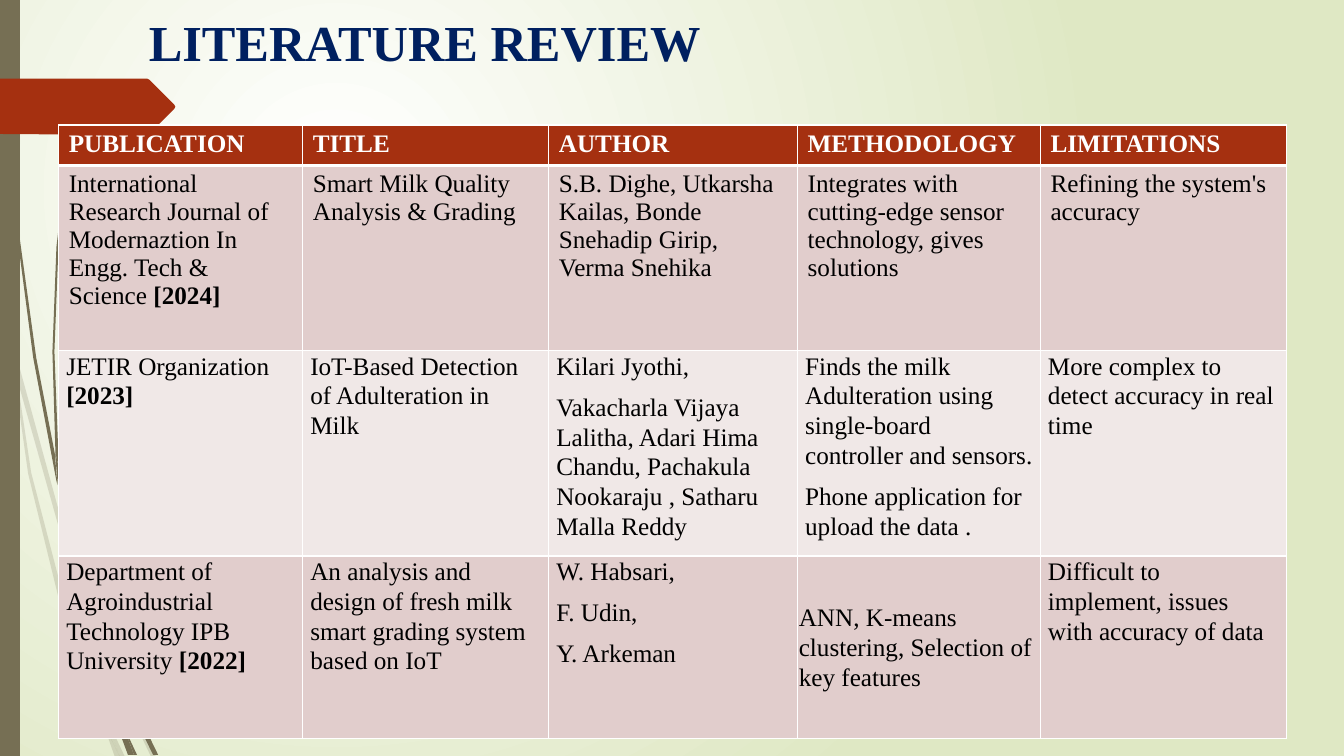
"""Build the literature review slide with its wisp decoration and paper table."""
from lxml.etree import SubElement
from pptx import Presentation
from pptx.dml.color import RGBColor
from pptx.enum.text import MSO_ANCHOR
from pptx.oxml.ns import qn
from pptx.util import Cm, Pt

FONT = "Times New Roman"
COLORS = {
    "white": "FFFFFF", "black": "000000", "navy": "002060", "rust": "A53010",
    "olive": "766F54", "pale_green": "DFE8C4", "rose": "E1CDCC", "light_rose": "F0E8E7",
}
PALE_WISPS = [
    "11,350 9,322 0,282 0,299 10,344",
    "58,522 84,599 85,586 62,520 14,345 17,376",
    "92,607 88,596 88,610 123,694 150,751 155,751 127,692",
    "119,751 124,751 105,711",
    "93,683 70,619 31,469 17,376 11,350 28,470 65,621 92,693 101,714 99,707",
    "84,599 87,646 93,683 96,692 105,711 103,706 91,646 88,610 88,608",
    "88,584 110,462 160,349 229,245 268,198 290,175 312,154 312,153 "
    "289,175 268,197 228,244 158,348 107,461 85,584 85,586 88,596",
    "101,714 114,751 119,751",
    "88,608 88,610 88,596 85,586 84,599",
    "96,692 93,683 99,707 101,714 119,751 105,711",
]
DARK_WISPS = [
    "7,110 17,233 33,355 56,477 57,481 55,457 55,453 36,355 19,232 8,109 5,48 4,0 3,0 4,48",
    "88,592 106,645 106,633 106,631 93,590 60,472 64,505",
    "113,649 110,641 111,656 132,708 152,749 157,749 136,706",
    "110,691 98,657 72,556 64,505 57,477 68,557 93,659 111,708 117,722 116,717",
    "60,472 58,453 54,349 58,245 63,193 70,141 62,193 56,245 52,349 55,449",
    "133,749 136,749 122,719",
    "57,477 64,505 60,472 55,449 55,453",
    "111,633 125,552 158,476 205,406 231,374 245,359 261,344 260,344 "
    "245,358 231,373 204,405 156,474 122,551 106,631 110,641",
    "117,722 127,749 131,749",
    "106,645 110,691 116,706 122,719 121,716 111,656 109,651",
    "106,645 109,651 111,656 110,641 106,631 106,633",
    "116,706 110,691 116,717 117,722 130,749 133,749 122,719",
]
SIDE_BAR = "0,0 20,0 20,750 0,750"
ARROW_TAG = "0,78 146,78 148,79 173,104 174,106 173,108 148,133 146,134 0,133"
COLUMN_WIDTHS = [6.15, 6.2, 6.27, 6.12, 6.2]
ROW_HEIGHTS = [0.94, 4.67, 4.95, 4.6]
ROW_FILLS = ["rust", "rose", "light_rose", "rose"]
PAPERS = [
    ["PUBLICATION", "TITLE", "AUTHOR", "METHODOLOGY", "LIMITATIONS"],
    ["International Research Journal of Modernaztion In Engg. Tech & Science [2024]",
     "Smart Milk Quality Analysis & Grading",
     "S.B. Dighe, Utkarsha Kailas, Bonde Snehadip Girip, Verma Snehika",
     "Integrates with cutting-edge sensor technology, gives solutions",
     "Refining the system's accuracy"],
    ["JETIR Organization [2023]",
     "IoT-Based Detection of Adulteration in Milk",
     "Kilari Jyothi,\nVakacharla Vijaya Lalitha, Adari Hima Chandu, "
     "Pachakula Nookaraju , Satharu Malla Reddy",
     "Finds the milk Adulteration using single-board controller and sensors.\n"
     "Phone application for upload the data .",
     "More complex to detect accuracy in real time"],
    ["Department of Agroindustrial Technology IPB University [2022]",
     "An analysis and design of fresh milk smart grading system based on IoT",
     "W. Habsari,\nF. Udin,\nY. Arkeman",
     "ANN, K-means clustering, Selection of key features",
     "Difficult to implement, issues with accuracy of data"],
]


def rgb(name):
    """Return the named colour."""
    return RGBColor.from_string(COLORS[name])


def add_run(p, text, size, color, bold):
    """Append one formatted run to a paragraph."""
    r = p.add_run()
    r.text = text
    r.font.name = FONT
    r.font.size = Pt(size)
    r.font.bold = bold
    r.font.color.rgb = rgb(color)


def set_background(slide):
    """Fill the slide with a radial white to green gradient."""
    fill = slide.background.fill
    fill.gradient()
    for stop, name in zip(fill.gradient_stops, ("white", "pale_green")):
        stop.color.rgb = rgb(name)
    grad = slide.background._cSld.find(".//" + qn("a:gradFill"))
    lin = grad.find(qn("a:lin"))
    radial = grad.makeelement(qn("a:path"), {"path": "circle"})
    grad.replace(lin, radial)
    SubElement(radial, qn("a:fillToRect"), l="50000", t="50000", r="100000", b="100000")


def add_outline(shapes, outline, color, alpha=None):
    """Draw a closed filled outline given in hundredths of an inch."""
    points = [tuple(map(int, pair.split(","))) for pair in outline.split()]
    builder = shapes.build_freeform(*points[0], scale=Cm(0.0254))
    builder.add_line_segments(points[1:], close=True)
    sp = builder.convert_to_shape()
    sp.shadow.inherit = False
    sp.fill.solid()
    sp.fill.fore_color.rgb = rgb(color)
    sp.line.fill.background()
    if alpha:
        clr = sp._element.spPr.find(qn("a:solidFill")).find(qn("a:srgbClr"))
        SubElement(clr, qn("a:alpha"), val=str(alpha * 1000))


def add_wisps(slide, outlines, alpha=None):
    """Draw one group of grass wisps."""
    group = slide.shapes.add_group_shape()
    for outline in outlines:
        add_outline(group.shapes, outline, "olive", alpha)


def add_title(slide, text):
    """Add the slide heading."""
    tf = slide.shapes.add_textbox(Cm(3.5), 0, Cm(26.5), Cm(2.64)).text_frame
    tf.word_wrap = True
    tf.margin_top = Cm(0.28)
    add_run(tf.paragraphs[0], text, 36, "navy", True)


def set_borders(cell, bottom):
    """Give a cell white borders with the stated bottom width."""
    tc_pr = cell._tc.get_or_add_tcPr()
    for side, width in (("L", 1), ("R", 1), ("T", 1), ("B", bottom)):
        ln = SubElement(tc_pr, qn("a:ln" + side), w=str(Pt(width)))
        SubElement(SubElement(ln, qn("a:solidFill")), qn("a:srgbClr"), val=COLORS["white"])


def fill_cell(cell, text, row):
    """Write the paragraphs of a cell, with a bracketed year in bold."""
    header = row == 0
    set_borders(cell, 3 if header else 1)
    cell.fill.solid()
    cell.fill.fore_color.rgb = rgb(ROW_FILLS[row])
    if row > 1:
        cell.margin_left = cell.margin_right = Cm(0.19)
        cell.margin_top = cell.margin_bottom = 0
    color = "white" if header else "black"
    tf = cell.text_frame
    for i, line in enumerate(text.split("\n")):
        p = tf.add_paragraph() if i else tf.paragraphs[0]
        if row > 1:
            p.line_spacing = 1.07
            p.space_after = Pt(8)
        body, bracket, year = line.partition("[")
        add_run(p, body, 18, color, header)
        if bracket:
            add_run(p, bracket + year, 18, color, True)


def add_papers(slide):
    """Add the table of reviewed papers."""
    table = slide.shapes.add_table(
        len(PAPERS), len(COLUMN_WIDTHS), Cm(1.48), Cm(3.15),
        Cm(sum(COLUMN_WIDTHS)), Cm(sum(ROW_HEIGHTS))).table
    table.horz_banding = False
    for column, width in zip(table.columns, COLUMN_WIDTHS):
        column.width = Cm(width)
    for i, (height, texts) in enumerate(zip(ROW_HEIGHTS, PAPERS)):
        table.rows[i].height = Cm(height)
        for j, text in enumerate(texts):
            fill_cell(table.cell(i, j), text, i)
    methods = table.cell(3, 3)
    methods.vertical_anchor = MSO_ANCHOR.MIDDLE
    methods.margin_left = methods.margin_right = Cm(0.03)
    methods.margin_top = methods.margin_bottom = Cm(0.03)


def main():
    """Build and save the slide."""
    prs = Presentation()
    prs.slide_width, prs.slide_height = Cm(33.87), Cm(19.05)
    slide = prs.slides.add_slide(prs.slide_layouts[6])
    set_background(slide)
    add_wisps(slide, PALE_WISPS, 20)
    add_wisps(slide, DARK_WISPS)
    add_outline(slide.shapes, SIDE_BAR, "olive")
    add_outline(slide.shapes, ARROW_TAG, "rust")
    add_title(slide, "LITERATURE REVIEW")
    add_papers(slide)
    prs.save("out.pptx")


if __name__ == "__main__":
    main()
